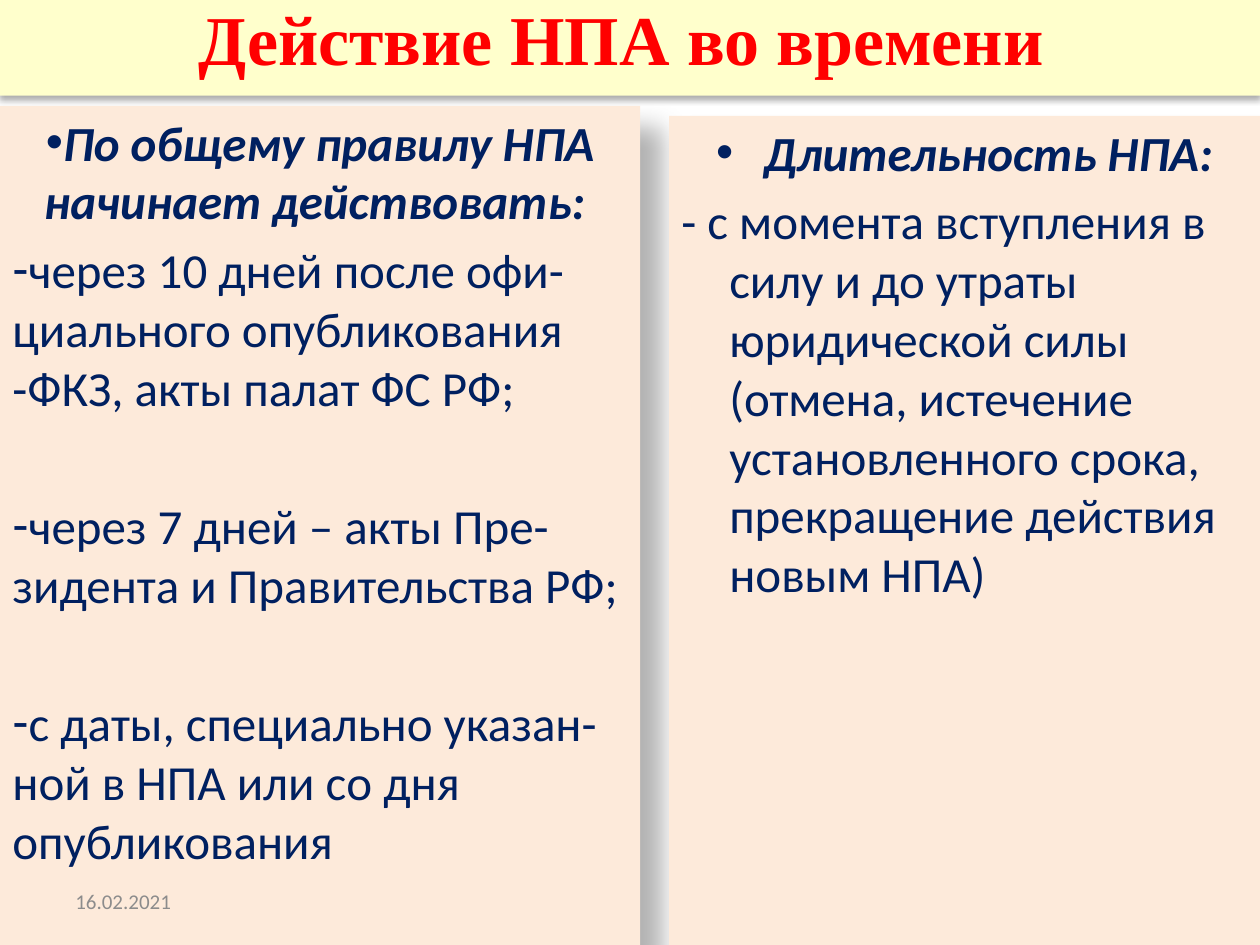
from dataclasses import dataclass

from pptx import Presentation
from pptx.dml.color import RGBColor
from pptx.enum.shapes import MSO_SHAPE as Shape
from pptx.enum.text import MSO_ANCHOR as Anchor, PP_ALIGN as Align
from pptx.oxml.ns import qn
from pptx.util import Inches, Pt
from lxml.etree import SubElement


@dataclass(frozen=True)
class Theme:
    panel: str = "FDEADA"
    banner: str = "FFFFCC"
    title: str = "FF0000"
    body: str = "002060"
    date: str = "8C8C8C"
    shadow: str = "000000"
    title_font: str = "Times New Roman"
    body_font: str = "Calibri"
    title_size: int = 40
    body_size: int = 28
    date_size: int = 12


THEME = Theme()
PARA_GAP = 5.6   # points before a paragraph, 20% of the body size
GROUP_GAP = 45.4  # the same gap plus one empty line


def add_shadow(box, opacity, blur, distance, angle):
    box.shadow.inherit = False
    effects = box._element.spPr.find(qn("a:effectLst"))
    outer = SubElement(effects, qn("a:outerShdw"), blurRad=str(Pt(blur)),
                       dist=str(Pt(distance)), dir=str(angle * 60000),
                       algn="tl", rotWithShape="0")
    color = SubElement(outer, qn("a:srgbClr"), val=THEME.shadow)
    SubElement(color, qn("a:alpha"), val=str(opacity * 1000))


def set_frame(box, anchor):
    frame = box.text_frame
    frame.word_wrap = True
    frame.vertical_anchor = anchor
    return frame


def add_panel(page, left, top, width, height, fill, shadow, anchor=Anchor.TOP):
    box = page.shapes.add_shape(Shape.RECTANGLE, Inches(left), Inches(top),
                                Inches(width), Inches(height))
    box.fill.solid()
    box.fill.fore_color.rgb = RGBColor.from_string(fill)
    box.line.fill.background()
    add_shadow(box, *shadow)
    return set_frame(box, anchor)


def add_text(frame, text, size=THEME.body_size, font=THEME.body_font,
             color=THEME.body, bold=False, italic=False, align=Align.LEFT,
             before=0, spacing=None, bullet=None, hanging=0):
    first = frame.paragraphs[0]
    para = frame.add_paragraph() if first.runs else first
    para.alignment = align
    para.space_before = Pt(before)
    if spacing:
        para.line_spacing = spacing
    props = para._p.get_or_add_pPr()
    props.set("marL", str(Inches(hanging)))
    props.set("indent", str(-Inches(hanging)))
    if bullet:
        SubElement(props, qn("a:buFont"), typeface="Arial")
        SubElement(props, qn("a:buChar"), char=bullet)
    span = para.add_run()
    span.text = text
    span.font.size = Pt(size)
    span.font.name = font
    span.font.bold = bold
    span.font.italic = italic
    span.font.color.rgb = RGBColor.from_string(color)


def add_heading(frame, text, hanging=0):
    add_text(frame, text, bold=True, italic=True, align=Align.CENTER,
             before=PARA_GAP, bullet="•", hanging=hanging)


def main():
    deck = Presentation()
    deck.slide_width, deck.slide_height = Inches(10), Inches(7.5)
    page = deck.slides.add_slide(deck.slide_layouts[6])
    panel_shadow = (30, 15, 18, 45)

    # Left column: when an act takes effect
    start = add_panel(page, 0, 0.84, 5.08, 6.66, THEME.panel, panel_shadow)
    add_heading(start, "По общему правилу НПА начинает действовать: ")
    rules = [
        ("через 10 дней после офи-циального опубликования "
         "-ФКЗ, акты палат ФС РФ;", PARA_GAP),
        ("через 7 дней – акты Пре-зидента и Правительства РФ;", GROUP_GAP),
        ("с даты, специально указан-ной в НПА или со дня опубликования",
         GROUP_GAP),
    ]
    for text, gap in rules:
        add_text(start, text, before=gap, bullet="-")

    # Right column: how long an act lasts
    duration = add_panel(page, 5.31, 0.92, 4.69, 6.58, THEME.panel,
                         panel_shadow)
    add_heading(duration, "Длительность НПА:", hanging=0.38)
    add_text(duration, "- с момента вступления в силу и до утраты юридической "
             "силы (отмена, истечение установленного срока, прекращение "
             "действия новым НПА)", before=PARA_GAP, hanging=0.38)

    # Title banner
    banner = add_panel(page, 0, 0, 10, 0.76, THEME.banner, (32, 3.5, 2.2, 90),
                       Anchor.MIDDLE)
    add_text(banner, "Действие НПА во времени ", size=THEME.title_size,
             font=THEME.title_font, color=THEME.title, bold=True,
             align=Align.CENTER, spacing=0.7)

    # Date
    date = page.shapes.add_textbox(Inches(0.5), Inches(6.95), Inches(2.33),
                                   Inches(0.4))
    add_text(set_frame(date, Anchor.MIDDLE), "16.02.2021",
             size=THEME.date_size, color=THEME.date)

    deck.save("out.pptx")


if __name__ == "__main__":
    main()
